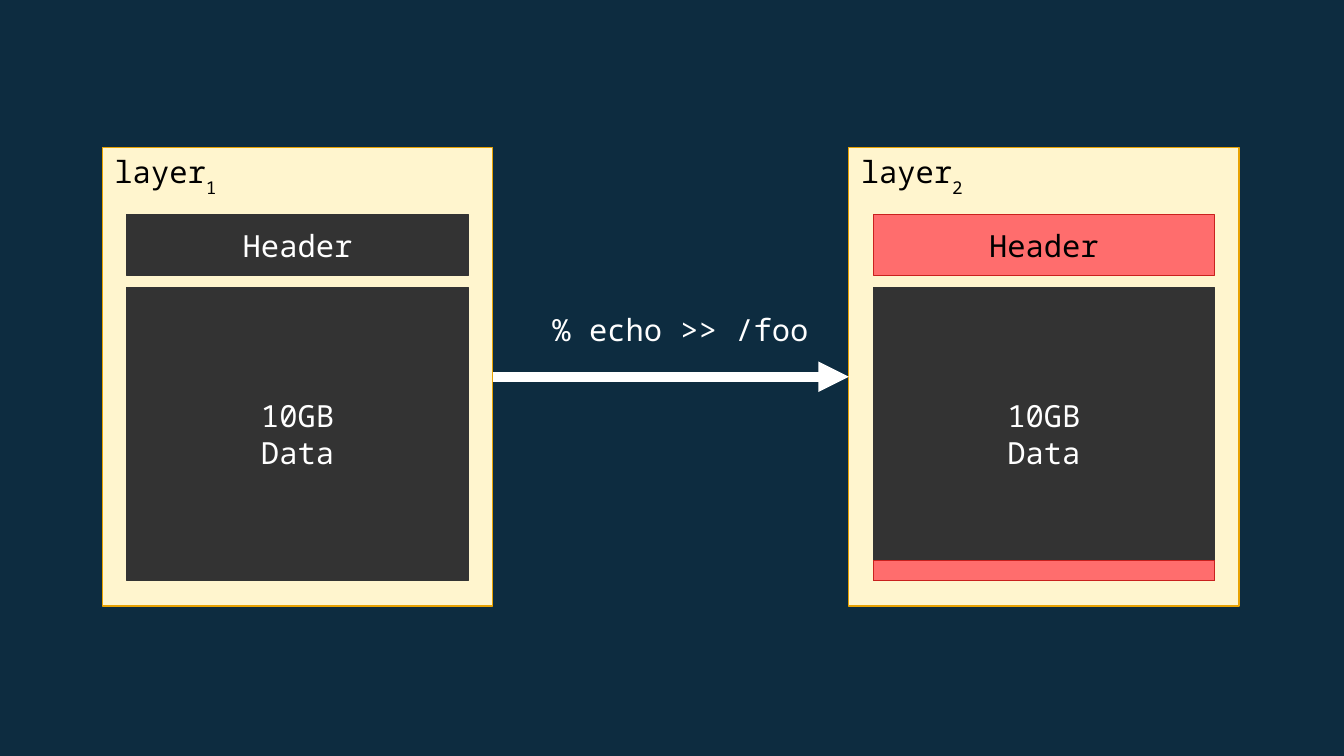
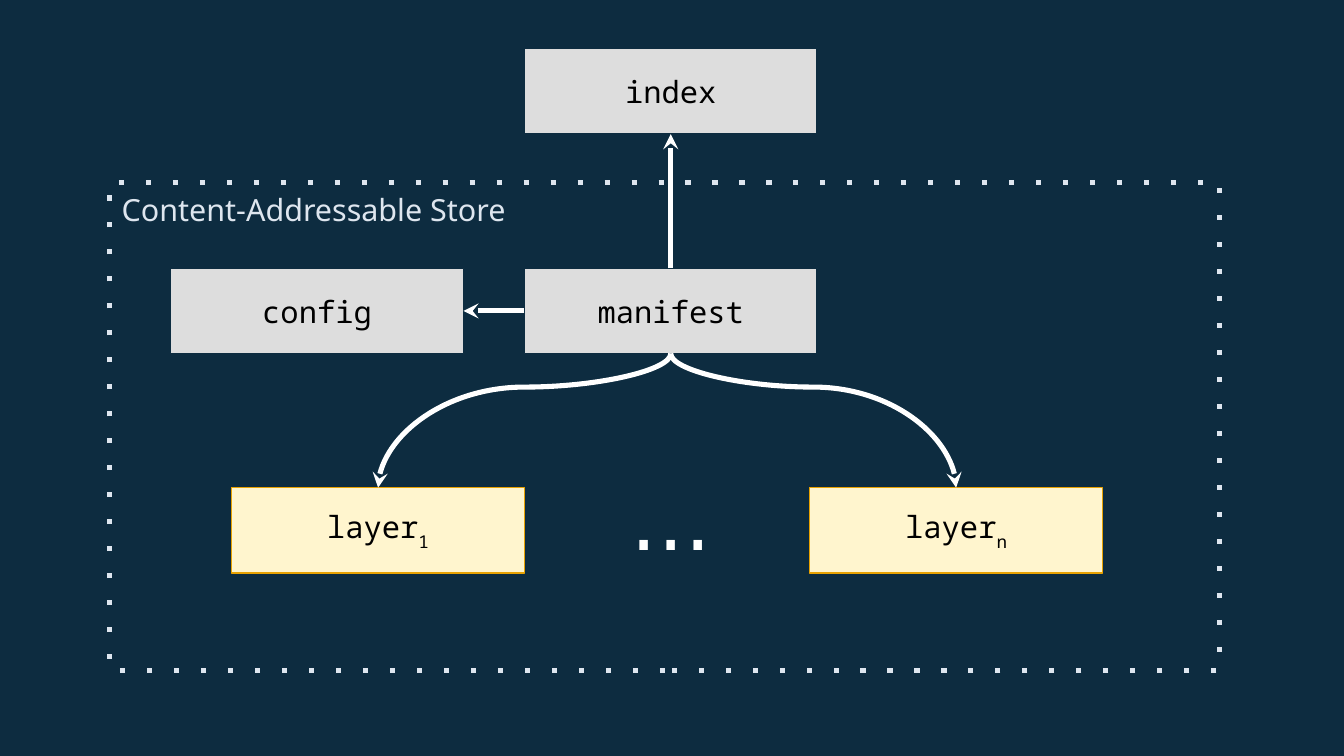
from lxml import etree
from pptx import Presentation
from pptx.dml.color import RGBColor
from pptx.enum.shapes import MSO_CONNECTOR, MSO_SHAPE
from pptx.enum.text import MSO_ANCHOR, MSO_AUTO_SIZE, PP_ALIGN
from pptx.oxml.ns import qn
from pptx.util import Inches, Pt

RECT = MSO_SHAPE.RECTANGLE
STRAIGHT, CURVE = MSO_CONNECTOR.STRAIGHT, MSO_CONNECTOR.CURVE
LEFT, CENTER = PP_ALIGN.LEFT, PP_ALIGN.CENTER
TOP_ANCHOR, MIDDLE, BOTTOM_ANCHOR = MSO_ANCHOR.TOP, MSO_ANCHOR.MIDDLE, MSO_ANCHOR.BOTTOM
FIT = MSO_AUTO_SIZE.SHAPE_TO_FIT_TEXT
TOP, WEST, BOTTOM, EAST = range(4)

NAVY, WHITE, BLACK, PALE = "0D2C40", "FFFFFF", "000000", "DEE6EF"
CREAM = ("FFF5CE", "E8A202")
DARK = ("333333", "333333")
RED = ("FF6D6D", "C9211E")
GREY = ("DDDDDD", NAVY)
MONO, SANS, SYMBOL = "Noto Sans Mono", "Noto Sans", "DejaVu Sans"

LAYERS = [
    {"x": 0.84, "sub": "1", "header": RED[:0] or DARK, "ink": WHITE, "appended": False},
    {"x": 6.96, "sub": "2", "header": RED, "ink": BLACK, "appended": True},
]
LAYER_TOP, LAYER_W, LAYER_H, PAD = 1.21, 3.2, 3.76, 0.2
COMMAND = "% echo >> /foo"

NODE_W, NODE_H = 2.4, 0.7
NODES = {
    "index": (4.3, 0.4, GREY, ["index"]),
    "manifest": (4.3, 2.2, GREY, ["manifest"]),
    "config": (1.4, 2.2, GREY, ["config"]),
    "first": (1.9, 4, CREAM, ["layer", "1"]),
    "last": (6.64, 4, CREAM, ["layer", "n"]),
}
STRAIGHT_LINKS = [("manifest", WEST, "config", EAST), ("manifest", TOP, "index", BOTTOM)]
CURVED_LINKS = ["first", "last"]
STORE = (0.9, 1.5, 9.1, 4)


def rgb(color):
    return RGBColor.from_string(color)


def new_slide(prs):
    s = prs.slides.add_slide(prs.slide_layouts[6])
    s.background.fill.solid()
    s.background.fill.fore_color.rgb = rgb(NAVY)
    return s


def write(sp, lines, color, align=CENTER, anchor=MIDDLE, font=MONO, size=18, wrap=False):
    tf = sp.text_frame
    tf.word_wrap = wrap
    tf.vertical_anchor = anchor
    for i, runs in enumerate(lines):
        p = tf.add_paragraph() if i else tf.paragraphs[0]
        p.alignment = align
        for j, text in enumerate(runs):
            r = p.add_run()
            r.text = text
            r.font.name, r.font.size = font, Pt(size)
            r.font.color.rgb = rgb(color)
            if j:
                r.font._element.set("baseline", "-33000")


def box(s, x, y, w, h, colors):
    sp = s.shapes.add_shape(RECT, Inches(x), Inches(y), Inches(w), Inches(h))
    sp.shadow.inherit = False
    fill, line = colors
    if fill:
        sp.fill.solid()
        sp.fill.fore_color.rgb = rgb(fill)
    else:
        sp.fill.background()
    sp.line.color.rgb = rgb(line)
    sp.line.width = Pt(0)
    return sp


def label(s, x, y, w, h, text, color, fit=True, **style):
    sp = s.shapes.add_textbox(Inches(x), Inches(y), Inches(w), Inches(h))
    write(sp, [[text]], color, wrap=fit, **style)
    if fit:
        sp.text_frame.auto_size = FIT


def arrow(s, kind, start, start_site, end, end_site, width, head):
    c = s.shapes.add_connector(kind, 0, 0, 0, 0)
    c.begin_connect(start, start_site)
    c.end_connect(end, end_site)
    c.line.color.rgb = rgb(WHITE)
    c.line.width = Pt(width)
    etree.SubElement(c.line._get_or_add_ln(), qn("a:tailEnd"), type=head)
    etree.SubElement(c._element.spPr, qn("a:effectLst"))
    return c


def curve_down(c, bend):
    x1, y1, x2, y2 = c.begin_x, c.begin_y, c.end_x, c.end_y
    drop, span = y2 - y1, abs(x2 - x1)
    leftward = x2 < x1
    spPr = c._element.spPr
    xfrm = spPr.find(qn("a:xfrm"))
    for flip in ("flipH", "flipV"):
        xfrm.attrib.pop(flip, None)
    c.left, c.top = (x1 + x2 - drop) // 2, (y1 + y2 - span) // 2
    c.width, c.height = drop, span
    xfrm.set("rot", str((90 if leftward else 270) * 60000))
    if not leftward:
        xfrm.set("flipH", "1")
    guides = spPr.find(qn("a:prstGeom")).find(qn("a:avLst"))
    etree.SubElement(guides, qn("a:gd"), name="adj1", fmla=f"val {int(bend * 100000)}")


def dotted(sp, width):
    sp.line.width = Pt(width)
    dash = etree.SubElement(sp.line._get_or_add_ln(), qn("a:custDash"))
    etree.SubElement(dash, qn("a:ds"), d="100000", sp="430000")


def append_slide(prs):
    s = new_slide(prs)
    panels = []
    inner_w = LAYER_W - 2 * PAD
    for layer in LAYERS:
        x = layer["x"]
        panel = box(s, x, LAYER_TOP, LAYER_W, LAYER_H, CREAM)
        write(panel, [["layer", layer["sub"]]], BLACK, LEFT, TOP_ANCHOR)
        header = box(s, x + PAD, 1.76, inner_w, 0.5, layer["header"])
        write(header, [["Header"]], layer["ink"])
        data = box(s, x + PAD, 2.36, inner_w, 2.4, DARK)
        write(data, [["10GB"], ["Data"]], WHITE)
        if layer["appended"]:
            box(s, x + PAD, 4.6, inner_w, 0.16, RED)
        panels.append(panel)
    before, after = panels
    arrow(s, STRAIGHT, before, EAST, after, WEST, 6, "triangle")
    label(s, 4.28, 2.5, 2.6, 0.41, COMMAND, WHITE, anchor=TOP_ANCHOR)


def store_slide(prs):
    s = new_slide(prs)
    nodes = {}
    for name, (x, y, colors, runs) in NODES.items():
        nodes[name] = box(s, x, y, NODE_W, NODE_H, colors)
        write(nodes[name], [runs], BLACK)
    for start, start_site, end, end_site in STRAIGHT_LINKS:
        arrow(s, STRAIGHT, nodes[start], start_site, nodes[end], end_site, 3, "stealth")
    for end in CURVED_LINKS:
        c = arrow(s, CURVE, nodes["manifest"], BOTTOM, nodes[end], TOP, 3, "stealth")
        curve_down(c, 0.25)
    label(s, 4.6, 4, 1.8, 0.7, "…", WHITE, fit=False, anchor=BOTTOM_ANCHOR, font=SYMBOL, size=48)
    dotted(box(s, *STORE, (None, PALE)), 3)
    x, y, w, _ = STORE
    label(s, x, y + 0.02, w, 0.44, "Content-Addressable Store", PALE,
          align=LEFT, anchor=TOP_ANCHOR, font=SANS)


def main():
    prs = Presentation()
    prs.slide_width, prs.slide_height = Inches(11.02), Inches(6.2)
    append_slide(prs)
    store_slide(prs)
    prs.save("out.pptx")


if __name__ == "__main__":
    main()
